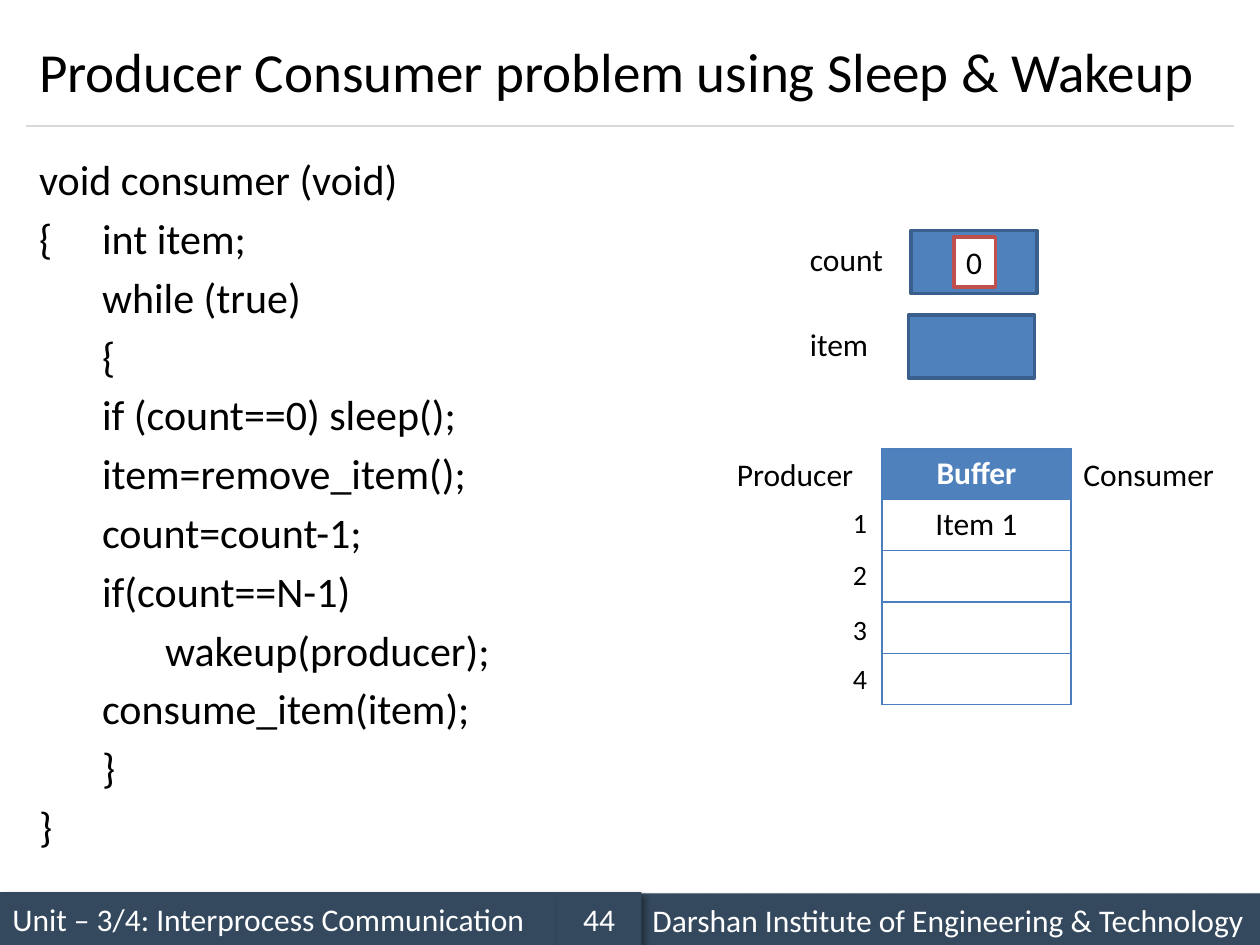
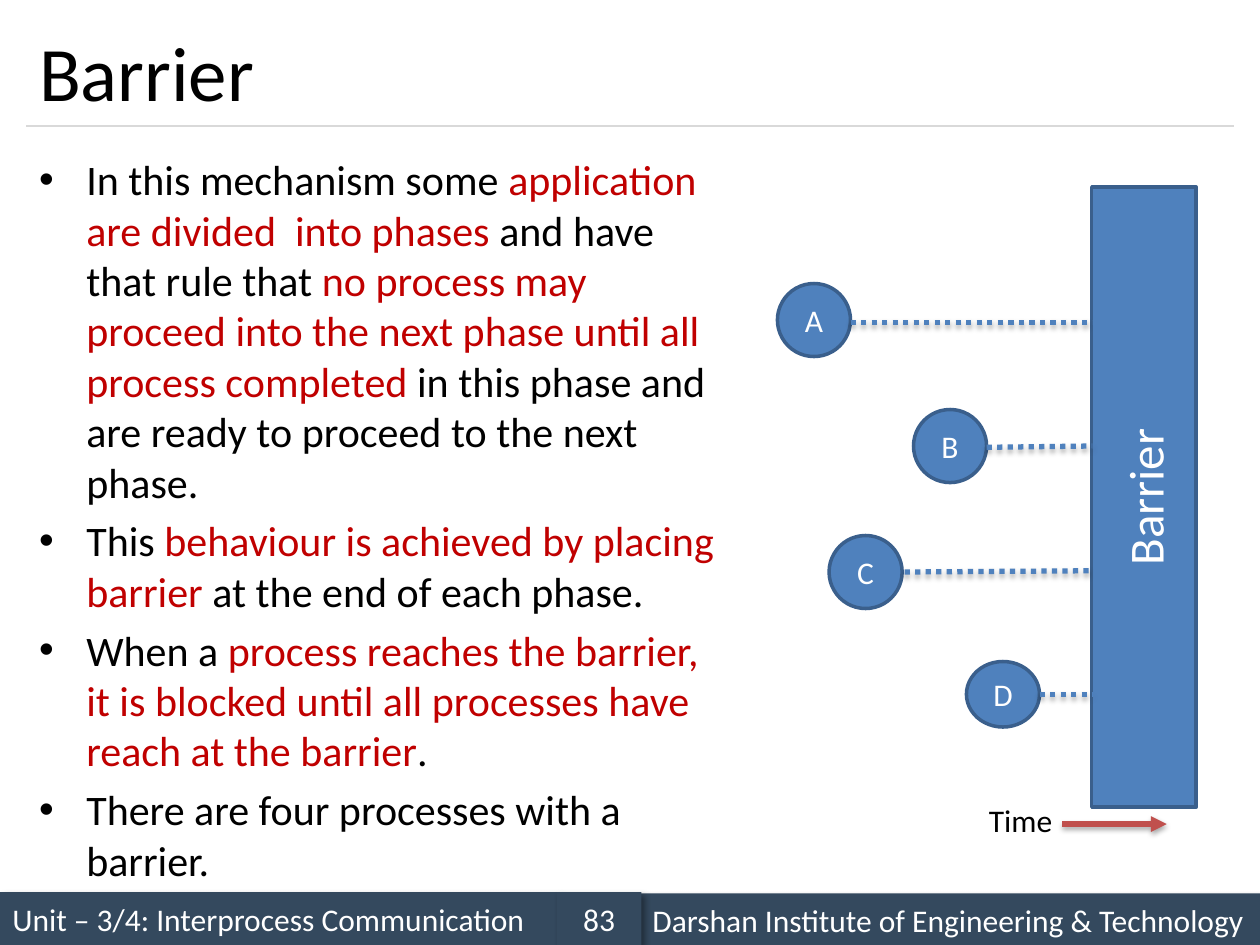
from lxml.etree import SubElement
from pptx import Presentation
from pptx.dml.color import RGBColor
from pptx.enum.dml import MSO_LINE_DASH_STYLE as DASH
from pptx.enum.shapes import MSO_CONNECTOR as CONNECTOR, MSO_SHAPE as SHAPE
from pptx.enum.text import MSO_ANCHOR as ANCHOR, MSO_AUTO_SIZE as AUTO_SIZE, PP_ALIGN as ALIGN
from pptx.oxml.ns import qn
from pptx.util import Inches, Pt

FONT = "Calibri"
BLACK, WHITE = "000000", "FFFFFF"
BAND, RULE = "34495E", "D9D9D9"
BLUE, DARK_BLUE, GRID_BLUE = "4F81BD", "3A5F8C", "4B7EBC"
RED, HIGHLIGHT = "C0504D", "C00000"
BAND_SHADOW = (40, 4, 3, 45)
LINE_SHADOW = (35, 3.1, 1.8, 90)
TAB_STEP = 0.59

UNIT = "Unit – 3/4: Interprocess Communication"
INSTITUTE = "Darshan Institute of Engineering & Technology"

CONSUMER_CODE = [
    "void consumer (void)",
    "{\tint item;",
    "\twhile (true)",
    "\t{",
    "\tif (count==0) sleep();",
    "\titem=remove_item();",
    "\tcount=count-1;",
    "\tif(count==N-1)",
    "\t\twakeup(producer);",
    "\tconsume_item(item);",
    "\t}",
    "}",
]

# Spans alternate between plain and highlighted text.
BARRIER_POINTS = [
    ["In this mechanism some ", "application are divided  into phases",
     " and have that rule that ",
     "no process may proceed into the next phase until all process completed ",
     "in this phase and are ready to proceed to the next phase."],
    ["This ", "behaviour is achieved by placing barrier ", "at the end of each phase."],
    ["When a ",
     "process reaches the barrier, it is blocked until all processes have reach at the barrier",
     "."],
    ["There are four processes with a barrier."],
]

# Name, left, top, height, then start and end of the dotted line.
PROCESSES = [
    ("A", 6.17, 2.25, 0.58, (6.75, 2.56), (8.67, 2.56)),
    ("B", 7.25, 3.25, 0.58, (7.83, 3.55), (8.67, 3.54)),
    ("C", 6.58, 4.25, 0.58, (7.18, 4.54), (8.65, 4.53)),
    ("D", 7.67, 5.25, 0.52, (8.25, 5.51), (8.67, 5.51)),
]


def rgb(value):
    return RGBColor.from_string(value)


def add_span(para, text, size, color=BLACK, bold=False):
    span = para.add_run()
    span.text = text
    span.font.name = FONT
    span.font.size = Pt(size)
    span.font.bold = bold
    span.font.color.rgb = rgb(color)


def place(shape, left, top, width, height):
    shape.left, shape.top = Inches(left), Inches(top)
    shape.width, shape.height = Inches(width), Inches(height)


def cast_shadow(effects, opacity, blur, distance, angle):
    """Add an outer black shadow to an a:effectLst element."""
    shadow = SubElement(effects, qn("a:outerShdw"), blurRad=str(Pt(blur)),
                        dist=str(Pt(distance)), dir=str(angle * 60000),
                        algn="t", rotWithShape="0")
    black = SubElement(shadow, qn("a:srgbClr"), val=BLACK)
    SubElement(black, qn("a:alpha"), val=str(opacity * 1000))


def add_block(page, kind, at, fill, outline=None, text="", size=18,
              color=WHITE, align=ALIGN.CENTER):
    """Add a filled preset shape, with optional outline and text."""
    block = page.shapes.add_shape(kind, *map(Inches, at))
    block.shadow.inherit = False
    block.fill.solid()
    block.fill.fore_color.rgb = rgb(fill)
    if outline:
        block.line.color.rgb = rgb(outline)
        block.line.width = Pt(2)
    else:
        block.line.fill.background()
    if text:
        block.text_frame.vertical_anchor = ANCHOR.MIDDLE
        para = block.text_frame.paragraphs[0]
        para.alignment = align
        add_span(para, text, size, color)
    return block


def add_label(page, text, at, size=18, align=ALIGN.LEFT):
    frame = page.shapes.add_textbox(*map(Inches, at)).text_frame
    frame.word_wrap = True
    frame.paragraphs[0].alignment = align
    add_span(frame.paragraphs[0], text, size)


def add_line(page, start, end, color, width, dash=None, arrow=False, shadow=None):
    line = page.shapes.add_connector(CONNECTOR.STRAIGHT, *map(Inches, (*start, *end)))
    line.line.color.rgb = rgb(color)
    line.line.width = Pt(width)
    if dash:
        line.line.dash_style = dash
    properties = line._element.spPr
    if arrow:
        SubElement(properties.find(qn("a:ln")), qn("a:tailEnd"), type="triangle")
    effects = SubElement(properties, qn("a:effectLst"))
    if shadow:
        cast_shadow(effects, *shadow)


def add_footer(page, number):
    bands = [
        (UNIT, (0, 7.08, 4.42, 0.42), ALIGN.LEFT),
        (INSTITUTE, (5.08, 7.09, 4.92, 0.42), ALIGN.LEFT),
        (str(number), (4.42, 7.08, 0.67, 0.42), ALIGN.CENTER),
    ]
    for text, at, align in bands:
        band = add_block(page, SHAPE.RECTANGLE, at, BAND, text=text, align=align)
        cast_shadow(band._element.spPr.find(qn("a:effectLst")), *BAND_SHADOW)


def add_page(deck, title, title_size, number):
    """Add a page with title, rule and footer."""
    page = deck.slides.add_slide(deck.slide_layouts[1])
    heading = page.shapes.title
    place(heading, 0.21, 0.12, 9.58, 0.88)
    frame = heading.text_frame
    frame.auto_size = AUTO_SIZE.NONE
    frame.vertical_anchor = ANCHOR.MIDDLE
    frame.paragraphs[0].alignment = ALIGN.LEFT
    add_span(frame.paragraphs[0], title, title_size)
    add_footer(page, number)
    add_line(page, (0.21, 1), (9.79, 1), RULE, 0.75)
    return page


def fill_body(page, width, height, items, code=False):
    """Write lists of alternating spans as bullets, or as tabbed code lines."""
    body = page.placeholders[1]
    place(body, 0.21, 1.17, width, height)
    frame = body.text_frame
    frame.auto_size = AUTO_SIZE.NONE
    for index, spans in enumerate(items):
        para = frame.paragraphs[0] if index == 0 else frame.add_paragraph()
        if code:
            properties = para._p.get_or_add_pPr()
            properties.set("marL", "0")
            properties.set("indent", "0")
            SubElement(properties, qn("a:buNone"))
            tabs = SubElement(properties, qn("a:tabLst"))
            for stop in (1, 2):
                SubElement(tabs, qn("a:tab"), pos=str(Inches(stop * TAB_STEP)), algn="l")
        para.space_before = Pt(4.8 if index else 0)
        for position, text in enumerate(spans):
            add_span(para, text, 24, HIGHLIGHT if position % 2 else BLACK)


def set_borders(cell, color, width):
    properties = cell._tc.get_or_add_tcPr()
    for index, side in enumerate(("lnL", "lnR", "lnT", "lnB")):
        border = properties.makeelement(qn(f"a:{side}"), {"w": str(Pt(width))})
        fill = SubElement(border, qn("a:solidFill"))
        SubElement(fill, qn("a:srgbClr"), val=color)
        properties.insert(index, border)


def add_buffer(page):
    """Add the one-column buffer table with its slot numbers."""
    table = page.shapes.add_table(5, 1, *map(Inches, (7, 3.56, 1.5, 2.03))).table
    for index, row in enumerate(table.rows):
        cell = row.cells[0]
        if index == 0:
            cell.fill.solid()
            cell.fill.fore_color.rgb = rgb(BLUE)
            para = cell.text_frame.paragraphs[0]
            para.alignment = ALIGN.CENTER
            add_span(para, "Buffer", 18, WHITE, bold=True)
        else:
            cell.fill.background()
        set_borders(cell, GRID_BLUE, 0.75)
    for slot, top in enumerate((3.96, 4.38, 4.81, 5.2), start=1):
        add_label(page, str(slot), (6.67, top, 0.33, 0.37), size=16)
    add_label(page, "Item 1", (7.25, 3.95, 1, 0.4), align=ALIGN.CENTER)


def build_consumer_page(deck):
    page = add_page(deck, "Producer Consumer problem using Sleep & Wakeup", 31.5, 44)
    fill_body(page, 5.33, 5.83, [[line] for line in CONSUMER_CODE], code=True)
    add_buffer(page)
    add_label(page, "Producer", (5.75, 3.56, 1.17, 0.4))
    add_label(page, "Consumer", (8.5, 3.56, 1.25, 0.4))
    for name, left, top in (("count", 7.23, 1.83), ("item", 7.21, 2.5)):
        add_block(page, SHAPE.RECTANGLE, (left, top, 1, 0.5), BLUE, DARK_BLUE)
        add_label(page, name, (6.33, top + 0.03, 0.83, 0.4))
    add_block(page, SHAPE.RECTANGLE, (7.57, 1.88, 0.33, 0.4), WHITE, RED, "0",
              color=BLACK, align=ALIGN.LEFT)


def build_barrier_page(deck):
    page = add_page(deck, "Barrier", 44, 83)
    fill_body(page, 5.67, 5.53, BARRIER_POINTS)
    barrier = add_block(page, SHAPE.RECTANGLE, (6.62, 3.53, 4.92, 0.83), BLUE,
                        DARK_BLUE, "Barrier", size=28)
    barrier.rotation = 270
    for name, left, top, height, start, end in PROCESSES:
        add_block(page, SHAPE.OVAL, (left, top, 0.58, height), BLUE, DARK_BLUE, name)
        add_line(page, start, end, BLUE, 3, dash=DASH.ROUND_DOT, shadow=LINE_SHADOW)
    add_line(page, (8.43, 6.54), (9.26, 6.54), RED, 3, arrow=True, shadow=LINE_SHADOW)
    add_label(page, "Time", (7.75, 6.31, 0.75, 0.4))


def main():
    deck = Presentation()
    deck.slide_width, deck.slide_height = Inches(10), Inches(7.5)
    build_consumer_page(deck)
    build_barrier_page(deck)
    deck.save("out.pptx")


if __name__ == "__main__":
    main()
